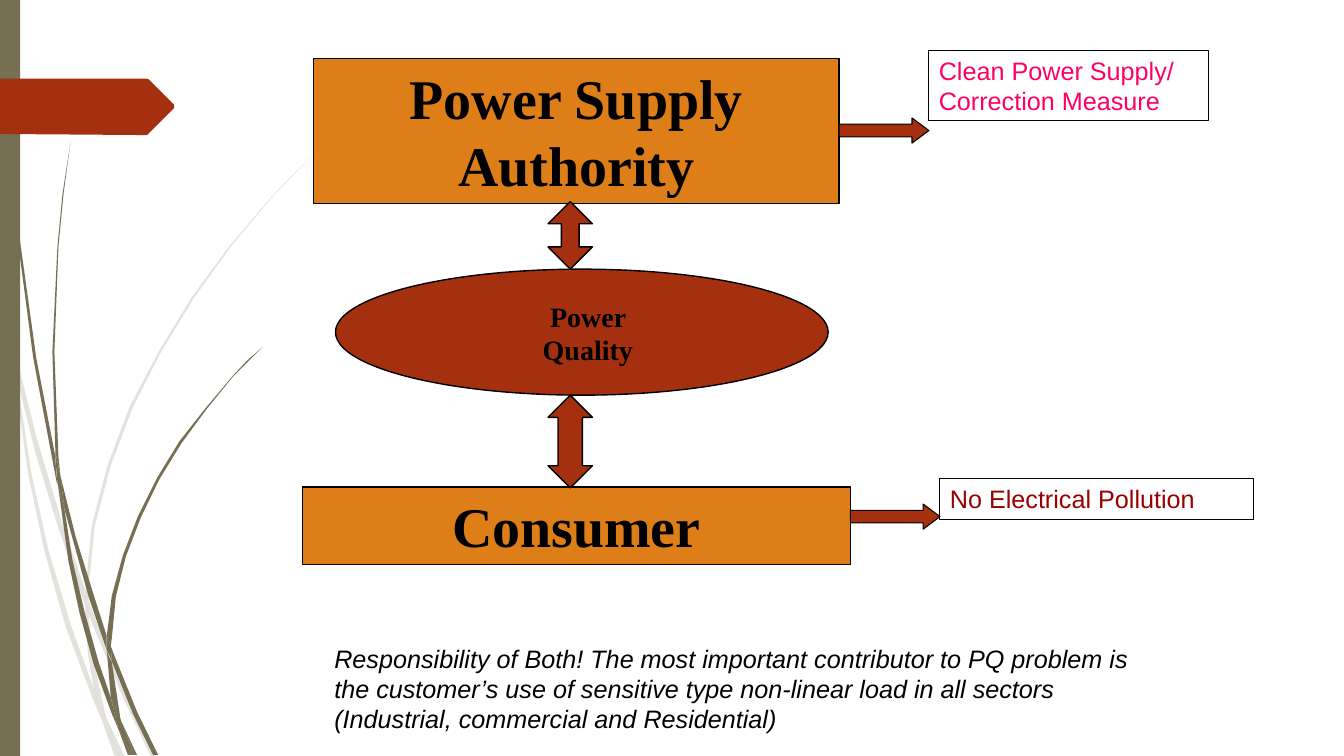
from dataclasses import dataclass, field
from typing import Any

import pptx
import pptx.dml.color
import pptx.enum.shapes
import pptx.enum.text
import pptx.oxml
import pptx.oxml.ns
import pptx.util

Inches = pptx.util.Inches
MSO = pptx.enum.shapes.MSO_SHAPE
PP_ALIGN = pptx.enum.text.PP_ALIGN
OLIVE, RUST, ORANGE, BLACK = "766F54", "A53010", "DE7E18", "000000"
HEADING = dict(size=40, font="Times New Roman", bold=True, align=PP_ALIGN.CENTER)

PALE_WISPS = [
    "0.11,3.5 0.08,3.22 0,2.82 0,2.99 0.1,3.44",
    "0.57,5.21 0.84,5.99 0.85,5.86 0.62,5.2 0.36,4.33 0.14,3.45 0.17,3.76 0.35,4.49",
    "0.92,6.07 0.88,5.96 0.88,6.1 1.23,6.94 1.5,7.51 1.55,7.51 1.27,6.92",
    "1.19,7.51 1.24,7.51 1.05,7.11",
    "0.93,6.83 0.7,6.19 0.48,5.45 0.31,4.69 0.17,3.76 0.11,3.5 0.28,4.7 0.44,5.46 0.65,6.21 "
    "0.92,6.93 1.01,7.14 0.99,7.07",
    "0.84,5.99 0.87,6.46 0.93,6.83 0.96,6.92 1.05,7.11 1.04,7.06 0.91,6.46 0.88,6.1 0.88,6.08",
    "0.88,5.84 0.94,5.22 1.1,4.62 1.32,4.04 1.6,3.49 1.93,2.95 2.29,2.45 2.68,1.98 2.9,1.75 "
    "3.12,1.53 2.89,1.75 2.68,1.97 2.28,2.44 1.91,2.94 1.58,3.48 1.29,4.03 1.07,4.61 0.91,5.22 "
    "0.85,5.84 0.85,5.86 0.88,5.96",
    "1.01,7.14 1.14,7.51 1.19,7.51",
    "0.88,6.08 0.88,6.1 0.88,5.96 0.85,5.86 0.84,5.99",
    "0.96,6.92 0.93,6.83 0.99,7.07 1.01,7.14 1.19,7.51 1.05,7.11",
]
DARK_WISPS = [
    "0.07,1.1 0.17,2.33 0.33,3.55 0.56,4.77 0.57,4.81 0.55,4.57 0.55,4.53 0.36,3.55 0.19,2.32 "
    "0.08,1.09 0.05,0.48 0.03,0 0.03,0.48",
    "0.88,5.92 1.06,6.45 1.06,6.33 1.06,6.31 0.93,5.9 0.75,5.32 0.6,4.72 0.64,5.05",
    "1.13,6.49 1.1,6.41 1.11,6.56 1.32,7.08 1.52,7.49 1.57,7.49 1.36,7.06",
    "1.1,6.92 0.98,6.57 0.84,6.07 0.72,5.56 0.64,5.05 0.57,4.77 0.68,5.57 0.79,6.08 0.93,6.59 "
    "1.11,7.08 1.17,7.22 1.16,7.17",
    "0.6,4.72 0.58,4.53 0.54,3.49 0.58,2.45 0.63,1.93 0.7,1.41 0.62,1.93 0.57,2.45 0.52,3.49 "
    "0.55,4.49 0.6,4.71",
    "1.33,7.49 1.36,7.49 1.22,7.19",
    "0.57,4.78 0.64,5.05 0.6,4.72 0.55,4.49 0.55,4.54",
    "1.11,6.33 1.15,5.92 1.25,5.52 1.4,5.13 1.58,4.76 1.8,4.4 2.05,4.06 2.31,3.74 2.46,3.59 "
    "2.61,3.44 2.45,3.58 2.31,3.73 2.04,4.05 1.78,4.38 1.56,4.74 1.37,5.12 1.22,5.51 1.11,5.91 "
    "1.06,6.31 1.1,6.41",
    "1.17,7.22 1.27,7.49 1.31,7.49",
    "1.06,6.45 1.1,6.92 1.16,7.06 1.21,7.19 1.2,7.16 1.11,6.57 1.08,6.51",
    "1.06,6.45 1.09,6.51 1.11,6.56 1.1,6.41 1.06,6.31 1.06,6.33",
    "1.16,7.06 1.1,6.92 1.16,7.17 1.17,7.22 1.31,7.49 1.33,7.49 1.22,7.19",
]
PAGE_TAG = "1.73,1.07 1.48,1.32 1.46,1.34 1.36,1.34 0,1.33 0,0.78 1.36,0.78 1.46,0.78 1.48,0.79 1.73,1.04"


@dataclass
class Block:
    kind: Any
    at: tuple[float, float, float, float]
    fill: str | None = RUST
    line: float | None = 1
    adj: tuple[float, ...] = ()
    text: str = ""
    fmt: dict[str, Any] = field(default_factory=dict)


ENTITIES = [
    Block(MSO.RECTANGLE, (3.11, 0.58, 5.22, 1.44), ORANGE, text="Power Supply Authority", fmt=HEADING),
    Block(MSO.RECTANGLE, (3, 4.83, 5.44, 0.77), ORANGE, text="Consumer", fmt=HEADING),
]
ARROWS_AND_OUTCOMES = [
    Block(MSO.UP_DOWN_ARROW, (5.44, 2, 0.44, 0.67), adj=(0.5, 0.4)),
    Block(MSO.UP_DOWN_ARROW, (5.44, 3.92, 0.44, 0.92), adj=(0.5, 0.55)),
    Block(MSO.RECTANGLE, (9.22, 0.5, 2.78, 0.7), None, 0.75,
          text="Clean Power Supply/ Correction Measure", fmt=dict(color="FF0066")),
    Block(MSO.RECTANGLE, (9.33, 4.75, 3.11, 0.4), None, 0.75,
          text="No Electrical Pollution", fmt=dict(color="990000")),
    Block(MSO.RIGHT_ARROW, (8.33, 1.17, 0.89, 0.25), line=0.75, adj=(0.5, 0.67)),
    Block(MSO.RIGHT_ARROW, (8.44, 5, 0.89, 0.25), line=0.75, adj=(0.5, 0.67)),
]


def rgb(value: str) -> pptx.dml.color.RGBColor:
    return pptx.dml.color.RGBColor.from_string(value)


def paint(sp: Any, fill: str | None, line: float | None = None) -> None:
    sp.shadow.inherit = False
    if fill:
        sp.fill.solid()
        sp.fill.fore_color.rgb = rgb(fill)
    else:
        sp.fill.background()
    if line:
        sp.line.color.rgb = rgb(BLACK)
        sp.line.width = pptx.util.Pt(line)
    else:
        sp.line.fill.background()


def write(sp: Any, text: str, size: float = 18, font: str = "Arial", color: str = BLACK,
          bold: bool = False, italic: bool = False, align: Any = PP_ALIGN.LEFT) -> None:
    tf = sp.text_frame
    tf.word_wrap = True
    tf.auto_size = pptx.enum.text.MSO_AUTO_SIZE.SHAPE_TO_FIT_TEXT
    tf.vertical_anchor = pptx.enum.text.MSO_ANCHOR.TOP
    p = tf.paragraphs[0]
    p.alignment = align
    r = p.add_run()
    r.text = text
    r.font.size = pptx.util.Pt(size)
    r.font.name = font
    r.font.bold = bold
    r.font.italic = italic
    r.font.color.rgb = rgb(color)


def add_text(shapes: Any, at: tuple[float, ...], text: str, **fmt: Any) -> None:
    write(shapes.add_textbox(*map(Inches, at)), text, **fmt)


def add_block(shapes: Any, block: Block) -> None:
    sp = shapes.add_shape(block.kind, *map(Inches, block.at))
    for i, value in enumerate(block.adj):
        sp.adjustments[i] = value
    paint(sp, block.fill, block.line)
    if block.text:
        write(sp, block.text, **block.fmt)


def add_outline(shapes: Any, outline: str, fill: str, opacity: int = 100) -> None:
    points = [tuple(Inches(float(v)) for v in pair.split(",")) for pair in outline.split()]
    builder = shapes.build_freeform(*points[0])
    builder.add_line_segments(points[1:], close=True)
    sp = builder.convert_to_shape()
    paint(sp, fill)
    if opacity < 100:
        color = sp.fill._xPr.find(".//" + pptx.oxml.ns.qn("a:srgbClr"))
        alpha = pptx.oxml.parse_xml(f'<a:alpha {pptx.oxml.ns.nsdecls("a")} val="{opacity * 1000}"/>')
        color.append(alpha)


def main() -> None:
    prs = pptx.Presentation()
    prs.slide_width, prs.slide_height = Inches(13.34), Inches(7.5)
    shapes = prs.slides.add_slide(prs.slide_layouts[6]).shapes

    for wisps, opacity in ((PALE_WISPS, 20), (DARK_WISPS, 100)):
        group = shapes.add_group_shape()
        for outline in wisps:
            add_outline(group.shapes, outline, OLIVE, opacity)
    add_block(shapes, Block(MSO.RECTANGLE, (0, 0, 0.2, 7.5), OLIVE, None))
    add_outline(shapes, PAGE_TAG, RUST)

    for block in ENTITIES:
        add_block(shapes, block)
    quality = shapes.add_group_shape().shapes
    add_block(quality, Block(MSO.OVAL, (3.33, 2.67, 4.89, 1.25)))
    add_text(quality, (4.89, 2.92, 1.89, 0.77), "Power Quality", **(HEADING | {"size": 20}))
    for block in ARROWS_AND_OUTCOMES:
        add_block(shapes, block)
    add_text(shapes, (3.22, 6.33, 8.15, 1),
             "Responsibility of Both! The most important contributor to PQ problem is the customer’s "
             "use of sensitive type non-linear load in all sectors (Industrial, commercial and Residential)",
             italic=True)
    prs.save("out.pptx")


if __name__ == "__main__":
    main()
